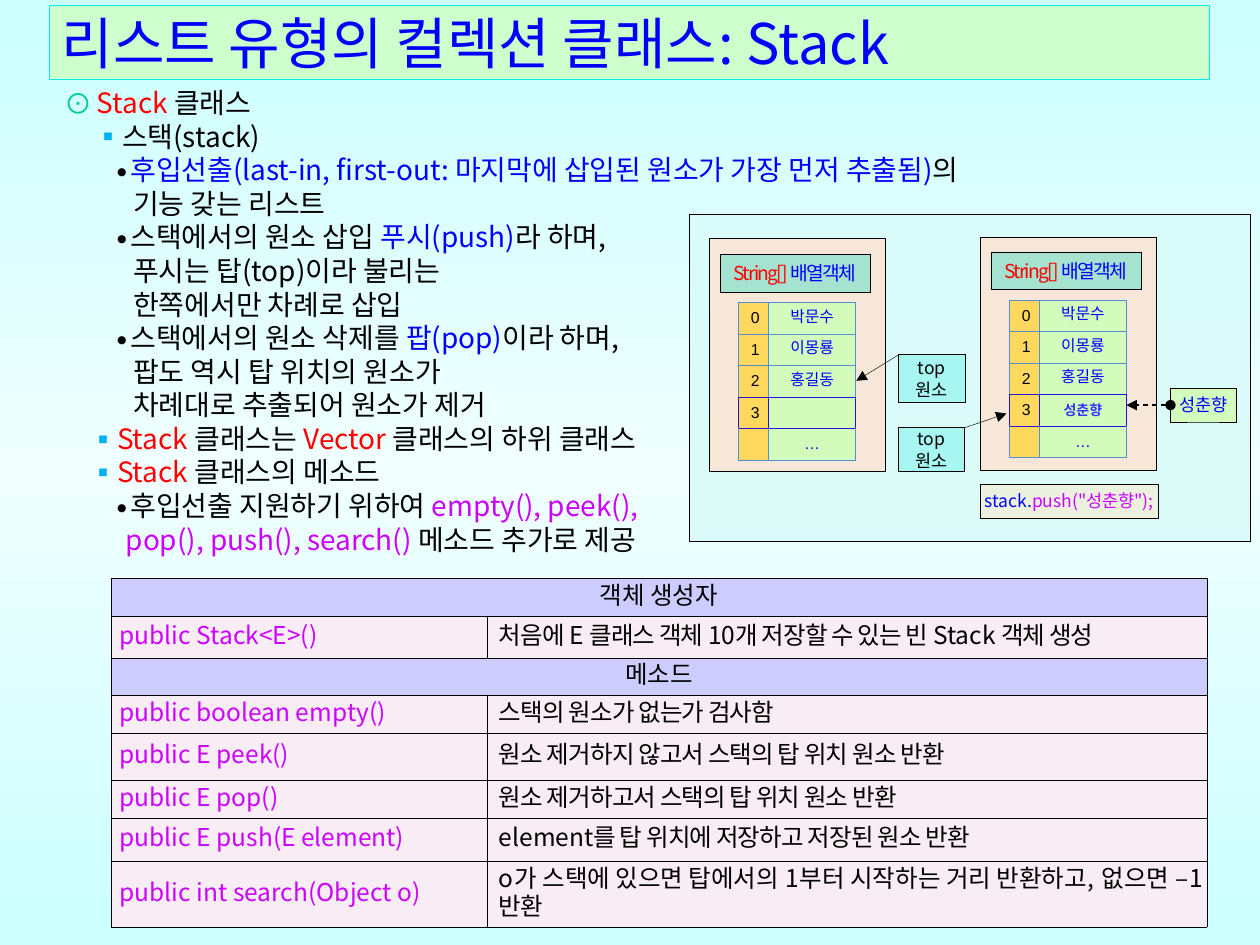
import itertools

import pptx
import pptx.dml.color
import pptx.enum.dml
import pptx.enum.shapes
import pptx.enum.text
import pptx.oxml
import pptx.oxml.ns
import pptx.util

UNIT = pptx.util.Inches(0.1)
KOREAN = "Noto Sans CJK KR"
BLUE, RED, BLACK, PURPLE, SKY = "0000FF", "FF0000", "000000", "CC00FF", "00B0F0"
GRID, ACTIVE = "558ED5", "2213E3"
ALIGN = pptx.enum.text.PP_ALIGN
ANCHOR = pptx.enum.text.MSO_ANCHOR
SHAPE = pptx.enum.shapes.MSO_SHAPE

BODY = [
    (0, 2.6, "⊙", "00CC99", [("Stack ", RED), ("클래스", BLACK)]),
    (2.4, 4.6, "▪", SKY, [("스택(stack)", BLACK)]),
    (3.9, 5, "∙", BLACK, [("후입선출(last-in, first-out: 마지막에 삽입된 원소가 가장 먼저 추출됨)", BLUE), ("의", BLACK)]),
    (5.5, 5.5, "", BLACK, [("기능 갖는 리스트", BLACK)]),
    (3.9, 5, "∙", BLACK, [("스택에서의 원소 삽입 ", BLACK), ("푸시(push)", BLUE), ("라 하며,", BLACK)]),
    (5.5, 5.5, "", BLACK, [("푸시는 탑(top)이라 불리는", BLACK)]),
    (5.5, 5.5, "", BLACK, [("한쪽에서만 차례로 삽입", BLACK)]),
    (3.9, 5, "∙", BLACK, [("스택에서의 원소 삭제를 ", BLACK), ("팝(pop)", BLUE), ("이라 하며,", BLACK)]),
    (5.5, 5.5, "", BLACK, [("팝도 역시 탑 위치의 원소가", BLACK)]),
    (5.5, 5.5, "", BLACK, [("차례대로 추출되어 원소가 제거", BLACK)]),
    (2, 4.1, "▪", SKY, [("Stack ", RED), ("클래스는 ", BLACK), ("Vector ", RED), ("클래스의 하위 클래스", BLACK)]),
    (2, 4.1, "▪", SKY, [("Stack ", RED), ("클래스의 메소드", BLACK)]),
    (3.9, 5, "∙", BLACK, [("후입선출 지원하기 위하여 ", BLACK), ("empty(), peek(),", PURPLE)]),
    (4.9, 4.9, "", BLACK, [("pop(), push(), search() ", PURPLE), ("메소드 추가로 제공", BLACK)]),
]

METHODS = [
    (3, "객체 생성자", None),
    (3.3, "public Stack<E>()", "처음에 E 클래스 객체 10개 저장할 수 있는 빈 Stack 객체 생성"),
    (2.95, "메소드", None),
    (3, "public boolean empty()", "스택의 원소가 없는가 검사함"),
    (3.8, "public E peek()", "원소 제거하지 않고서 스택의 탑 위치 원소 반환"),
    (2.95, "public E pop()", "원소 제거하고서 스택의 탑 위치 원소 반환"),
    (3.45, "public E push(E element)", "element를 탑 위치에 저장하고 저장된 원소 반환"),
    (5.25, "public int search(Object o)", "o가 스택에 있으면 탑에서의 1부터 시작하는 거리 반환하고, 없으면 –1 반환"),
]


def grid(*values):
    """Turn units of the 100 by 75 slide grid into lengths."""
    return [pptx.util.Emu(round(v * UNIT)) for v in values]


def rgb(color):
    """Turn a hex string into a colour."""
    return pptx.dml.color.RGBColor.from_string(color)


def add_xml(parent, tag, **attrs):
    """Append a DrawingML element to a parent."""
    el = pptx.oxml.parse_xml(f'<a:{tag} {pptx.oxml.ns.nsdecls("a")}/>')
    for key, value in attrs.items():
        el.set(key, str(value))
    parent.append(el)
    return el


def paint(fill, color, alpha=100):
    """Fill with a solid colour of the given opacity."""
    fill.solid()
    fill.fore_color.rgb = rgb(color)
    if alpha < 100:
        add_xml(fill._xPr.find(".//" + pptx.oxml.ns.qn("a:srgbClr")), "alpha", val=alpha * 1000)


def write(p, runs, size, align=ALIGN.LEFT, line=None, name=KOREAN, bold=None):
    """Fill a paragraph with (text, colour, spacing) runs."""
    p.alignment = align
    if line:
        p.line_spacing = pptx.util.Pt(line)
    p.font.size, p.font.name, p.font.bold = pptx.util.Pt(size), name, bold
    add_xml(p.font._rPr, "ea", typeface=KOREAN)
    same = len({run[1] for run in runs}) == 1
    if same:
        p.font.color.rgb = rgb(runs[0][1])
    for text, color, *spacing in runs:
        r = p.add_run()
        r.text = text
        if not same:
            r.font.color.rgb = rgb(color)
        if spacing:
            r.font._rPr.set("spc", str(round(spacing[0] * 100)))


def indent(p, left, first=0):
    """Set the left margin and first-line indent in grid units."""
    pPr = p._p.get_or_add_pPr()
    margin, offset = grid(left, first - left if first else 0)
    pPr.set("marL", str(margin))
    pPr.set("indent", str(offset))
    return pPr


def box(slide, place, fill, runs=(), size=10, shape=SHAPE.RECTANGLE, alpha=100, line=BLACK,
        insets=(1, 0.5, 1, 0.5), anchor=ANCHOR.MIDDLE, align=ALIGN.CENTER, pitch=None, wrap=True):
    """Add a thin-lined shape with optional text."""
    sp = slide.shapes.add_shape(shape, *grid(*place))
    sp.shadow.inherit = False
    paint(sp.fill, fill, alpha)
    sp.line.color.rgb = rgb(line)
    sp.line.width = pptx.util.Pt(0.25)
    tf = sp.text_frame
    tf.word_wrap, tf.vertical_anchor = wrap, anchor
    tf.margin_left, tf.margin_top, tf.margin_right, tf.margin_bottom = grid(*insets)
    if runs:
        write(tf.paragraphs[0], runs, size, align, pitch)
    return sp


def callout(slide, place, adjustments):
    """Add a label for the top element with an arrow to its row."""
    sp = box(slide, place, "A8F6F2", [("top 원소", BLACK)], shape=SHAPE.LINE_CALLOUT_1, pitch=12.5)
    for i, value in enumerate(adjustments):
        sp.adjustments[i] = value
    add_xml(sp.line._get_or_add_ln(), "tailEnd", type="triangle")


def table(slide, place, widths, heights):
    """Add an unbanded table with the given columns and rows."""
    tbl = slide.shapes.add_table(len(heights), len(widths), *grid(*place)).table
    tbl.first_row = tbl.horz_banding = False
    for column, width in zip(tbl.columns, grid(*widths)):
        column.width = width
    for row, height in zip(tbl.rows, grid(*heights)):
        row.height = height
    return tbl


def style_cell(cell, fill, alpha=100, **borders):
    """Give a cell its L, R, T and B border colours and its fill."""
    tcPr = cell._tc.get_or_add_tcPr()
    for side in "LRTB":
        ln = add_xml(tcPr, "ln" + side, w=3175)
        add_xml(add_xml(ln, "solidFill"), "srgbClr", val=borders.get(side, borders["every"]))
    paint(cell.fill, fill, alpha)


def stack_panel(slide, x, y, inner, fourth):
    """Add an array object that shows the content of a stack."""
    box(slide, (x, y, 14, 18.5), "FBE5D6", alpha=90)
    tbl = table(slide, (x + 2.3, y + inner, 9.3, 12.5), (2.4, 6.9), [2.5] * 5)
    names = ["박문수", "이몽룡", "홍길동", fourth, "…"]
    for i, pair in enumerate(zip(["0", "1", "2", "3", ""], names)):
        edges = {2: {"B": ACTIVE}, 3: {"every": ACTIVE}, 4: {"T": ACTIVE}}.get(i, {})
        for j, text in enumerate(pair):
            cell = tbl.cell(i, j)
            style_cell(cell, ("FFD85D", "D3FCBC")[j], (100, 70)[j], **{"every": GRID, **edges})
            bold = (i, j) == (3, 1)
            color = "3333FF" if bold else (BLACK, BLUE)[j]
            write(cell.text_frame.paragraphs[0], [(text, color)] if text else [],
                  8 if bold else 9, ALIGN.CENTER, 10.5, "Arial", bold)
    box(slide, (x + 0.85, y + inner - 3.8, 11.9, 3), "10DAC2", [("String[] ", RED, -1), ("배열객체", BLUE, -1)],
        11, alpha=35, insets=(0.4, 0.6, 0.4, 0.4), anchor=ANCHOR.TOP, pitch=13, wrap=False)


def tighten(text):
    """Split text so that only its Korean parts are condensed."""
    groups = itertools.groupby(text, lambda ch: ch == " " or ch >= "가")
    return [("".join(part), BLACK, -0.5 if korean else 0) for korean, part in groups]


def method_table(slide):
    """Add the table of the constructor and the methods."""
    tbl = table(slide, (8.8, 45.9, 87, 27.7), (29.9, 57.1), [row[0] for row in METHODS])
    for i, (_, left, right) in enumerate(METHODS):
        for j in range(2):
            cell = tbl.cell(i, j)
            cell.margin_left = cell.margin_right = cell.margin_top = cell.margin_bottom = grid(0.3)[0]
            cell.vertical_anchor = ANCHOR.MIDDLE
            style_cell(cell, "F9EDF5" if right else "CCCCFF", every=BLACK)
        p = tbl.cell(i, 0).text_frame.paragraphs[0]
        if right:
            indent(p, 0.4)
            write(p, [(left, PURPLE)], 14, line=16.5)
            p = tbl.cell(i, 1).text_frame.paragraphs[0]
            indent(p, 0.6)
            write(p, tighten(right), 14, ALIGN.JUSTIFY, 16.5)
        else:
            tbl.cell(i, 0).merge(tbl.cell(i, 1))
            write(p, [(left, BLACK)], 14, ALIGN.CENTER, 16.5)


def body(slide):
    """Add the bulleted explanation."""
    tf = slide.shapes.add_textbox(*grid(4.1, 6.3, 92.1, 38.7)).text_frame
    tf.word_wrap = True
    for i, (first, left, mark, color, runs) in enumerate(BODY):
        p = tf.add_paragraph() if i else tf.paragraphs[0]
        p.line_spacing = pptx.util.Pt(19.2)
        pPr = indent(p, left, first if mark else left)
        if mark:
            if not first:
                pPr.set("indent", str(-grid(left)[0]))
            add_xml(add_xml(pPr, "buClr"), "srgbClr", val=color)
            add_xml(pPr, "buFont", typeface=KOREAN)
            add_xml(pPr, "buChar", char=mark)
        write(p, runs, 16)


def push_arrow(slide, source):
    """Add the dashed arrow from the pushed name to its row."""
    cx = slide.shapes.add_connector(pptx.enum.shapes.MSO_CONNECTOR.STRAIGHT, *grid(92.9, 32.15, 89.4, 32.15))
    cx.begin_connect(source, 1)
    cx.line.color.rgb = rgb(BLACK)
    cx.line.width = pptx.util.Pt(0.75)
    cx.line.dash_style = pptx.enum.dml.MSO_LINE.DASH
    ln = cx.line._get_or_add_ln()
    add_xml(ln, "headEnd", type="oval")
    add_xml(ln, "tailEnd", type="triangle")
    add_xml(cx._element.spPr, "effectLst")


def background(slide):
    """Give the slide its vertical three-stop gradient."""
    fill = slide.background.fill
    fill.gradient()
    fill.gradient_angle = 90
    stops = fill._xPr.find(".//" + pptx.oxml.ns.qn("a:gsLst"))
    for stop in list(stops):
        stops.remove(stop)
    for pos, color in ((0, "CCFFFF"), (50, "F0FFFF"), (100, "CCFFFF")):
        add_xml(add_xml(stops, "gs", pos=pos * 1000), "srgbClr", val=color)


def main():
    """Build the slide and save it."""
    prs = pptx.Presentation()
    prs.slide_width, prs.slide_height = grid(100, 75)
    slide = prs.slides.add_slide(prs.slide_layouts[6])
    background(slide)
    box(slide, (54.7, 17, 44.5, 26), "D9FBF9", alpha=90)
    box(slide, (3.9, 0.4, 92.1, 5.9), "CCFFCC", [("리스트 유형의 컬렉션 클래스: Stack", BLUE)], 32,
        line="03EDE2", align=ALIGN.LEFT)
    body(slide)
    method_table(slide)
    stack_panel(slide, 56.3, 18.9, 5.1, "")
    callout(slide, (71.3, 28.1, 5.3, 3.8), (0.02, 0, 0.56, -0.63))
    stack_panel(slide, 77.8, 18.8, 5, "성춘향")
    box(slide, (77.8, 38.4, 14.1, 2.7), "EBF1DE", [("stack.", BLUE), ('push("성춘향");', PURPLE)],
        insets=(0, 0.5, 0, 0.5), anchor=ANCHOR.TOP, pitch=12)
    name = box(slide, (92.9, 30.8, 5.2, 2.7), "D3FCBC", [("성춘향", BLUE)],
               insets=(0, 0.5, 0, 0.5), anchor=ANCHOR.TOP, pitch=12)
    push_arrow(slide, name)
    callout(slide, (71.3, 33.9, 5.2, 3.5), (0.02, 1, -0.31, 1.65))
    prs.save("out.pptx")


if __name__ == "__main__":
    main()
